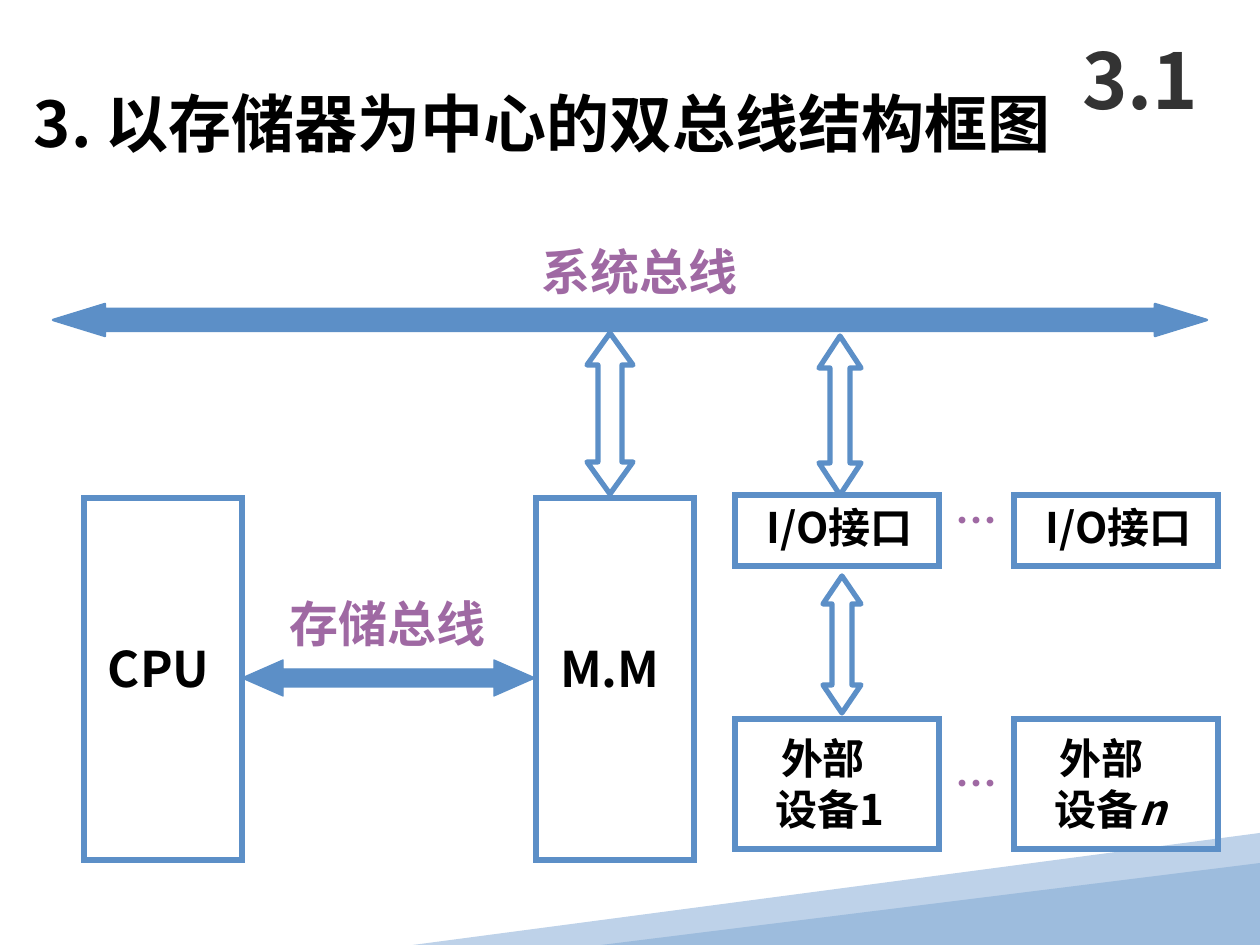
from dataclasses import dataclass

from lxml.etree import SubElement
from pptx import Presentation
from pptx.dml.color import RGBColor
from pptx.enum.shapes import MSO_SHAPE as Shape
from pptx.enum.text import MSO_ANCHOR as Anchor, MSO_AUTO_SIZE as AutoSize, PP_ALIGN as Align
from pptx.oxml.ns import qn
from pptx.util import Emu, Pt

PX = 914400 / 126
FONT = "Noto Sans CJK SC"
COLORS = {
    "blue": "5C8FC7", "purple": "9F69A3", "black": "000000",
    "gray": "333333", "pale": "BED2E9", "mid": "9DBCDD",
}


@dataclass
class Text:
    lines: list[str]
    size: int
    color: str = "black"
    margins: tuple[int, int, int, int] = (13, 6, 13, 6)  # left, top, right, bottom
    wrap: bool = True
    grow: bool = False
    align: Align = Align.LEFT
    anchor: Anchor = Anchor.TOP
    first_indent: int = 0
    italic_tail: str = ""


@dataclass
class Box:
    x: int
    y: int
    w: int
    h: int
    text: Text


@dataclass
class Arrow:
    """Double arrow from start to end along one axis, centred on mid."""
    start: int
    end: int
    mid: int
    half_head: int
    half_shaft: int
    head: int
    vertical: bool = True
    fill: str = ""
    line_pt: float = 3


def px(n: int) -> Emu:
    return Emu(round(n * PX))


def rgb(name: str) -> RGBColor:
    return RGBColor.from_string(COLORS[name])


def paint(sp, fill: str = "", line: str = "", line_pt: float = 3) -> None:
    sp.shadow.inherit = False
    if fill:
        sp.fill.solid()
        sp.fill.fore_color.rgb = rgb(fill)
    else:
        sp.fill.background()
    if line:
        sp.line.color.rgb = rgb(line)
        sp.line.width = Pt(line_pt)
    else:
        sp.line.fill.background()


def write(sp, t: Text) -> None:
    tf = sp.text_frame
    tf.text = "\n".join(t.lines)
    tf.word_wrap = t.wrap
    tf.auto_size = AutoSize.SHAPE_TO_FIT_TEXT if t.grow else AutoSize.NONE
    tf.vertical_anchor = t.anchor
    tf.margin_left, tf.margin_top, tf.margin_right, tf.margin_bottom = map(px, t.margins)
    if t.italic_tail:
        tf.paragraphs[-1].add_run().text = t.italic_tail
    if t.first_indent:
        tf.paragraphs[0]._p.get_or_add_pPr().set("indent", str(px(t.first_indent)))
    for p in tf.paragraphs:
        p.alignment = t.align
        for r in p.runs:
            f = r.font
            f.name, f.size, f.bold = FONT, Pt(t.size), True
            f.color.rgb = rgb(t.color)
            SubElement(r._r.get_or_add_rPr(), qn("a:ea"), typeface=FONT)
    if t.italic_tail:
        tf.paragraphs[-1].runs[-1].font.italic = True


def add_label(s, b: Box) -> None:
    write(s.shapes.add_textbox(px(b.x), px(b.y), px(b.w), px(b.h)), b.text)


def add_block(s, b: Box) -> None:
    sp = s.shapes.add_shape(Shape.RECTANGLE, px(b.x), px(b.y), px(b.w), px(b.h))
    paint(sp, line="blue")
    SubElement(sp.line._get_or_add_ln(), qn("a:miter"), lim="800000")
    write(sp, b.text)


def add_outline(s, points: list[tuple[int, int]]):
    pts = [(px(x), px(y)) for x, y in points]
    fb = s.shapes.build_freeform(*pts[0], scale=1.0)
    fb.add_line_segments(pts[1:], close=True)
    return fb.convert_to_shape()


def add_arrow(s, a: Arrow) -> None:
    near, far = a.start + a.head, a.end - a.head
    side = [(a.start, 0), (near, a.half_head), (near, a.half_shaft),
            (far, a.half_shaft), (far, a.half_head), (a.end, 0)]
    ring = side + [(along, -off) for along, off in side[-2:0:-1]]
    points = [(along, a.mid + off) for along, off in ring]
    if a.vertical:
        points = [(x, y) for y, x in points]
    paint(add_outline(s, points), a.fill, "blue", a.line_pt)


def device(number: str = "", italic: str = "") -> Text:
    return Text(["外部", "设备" + number], 24, margins=(41, 14, 13, 6),
                first_indent=5, italic_tail=italic)


FLUSH = (0, 0, 0, 0)
PORT = Text(["I/O接口"], 24, margins=(32, 6, 6, 6))
DOTS = Text(["…"], 24, "purple", FLUSH, wrap=False, grow=True)
COL_1, COL_N = 735, 1014

LABELS = [
    Box(21, 79, 1092, 88, Text(["3. 以存储器为中心的双总线结构框图"], 36, grow=True)),
    Box(542, 242, 319, 59, Text(["系统总线"], 28, "purple", FLUSH, grow=True)),
    Box(277, 588, 224, 72, Text(["存储总线"], 28, "purple", wrap=False, grow=True)),
    Box(955, 495, 42, 50, DOTS),
    Box(955, 758, 42, 50, DOTS),
    Box(1061, 21, 158, 116, Text(["3.1"], 44, "gray", align=Align.CENTER,
                                 anchor=Anchor.MIDDLE)),
]
BLOCKS = [
    *(Box(x, 498, 158, 362, Text([name], 28, margins=(24, 141, 13, 6)))
      for x, name in ((84, "CPU"), (536, "M.M"))),
    *(Box(x, 495, 204, 71, PORT) for x in (COL_1, COL_N)),
    Box(COL_1, 719, 204, 130, device("1")),
    Box(COL_N, 719, 204, 130, device(italic="n")),
]
ARROWS = [
    Arrow(53, 1207, 320, 16, 11, 52, vertical=False, fill="blue", line_pt=1.39),
    Arrow(333, 494, 610, 23, 12, 32),
    Arrow(336, 495, 840, 21, 10, 32),
    Arrow(576, 713, 842, 19, 10, 28),
]


def main() -> None:
    prs = Presentation()
    prs.slide_width, prs.slide_height = px(1260), px(945)
    s = prs.slides.add_slide(prs.slide_layouts[6])

    # Corner decoration
    paint(add_outline(s, [(1260, 833), (1260, 937), (848, 945), (413, 945)]), "pale")
    sp = s.shapes.add_shape(Shape.ISOSCELES_TRIANGLE, px(601), px(863), px(659), px(82))
    sp.adjustments[0] = 1
    paint(sp, "mid")

    # Units and buses
    for b in BLOCKS:
        add_block(s, b)
    for a in ARROWS:
        add_arrow(s, a)
    sp = s.shapes.add_shape(Shape.LEFT_RIGHT_ARROW, px(242), px(660), px(293), px(36))
    sp.adjustments[0], sp.adjustments[1] = 0.5, 1.14
    paint(sp, "blue", "blue", 0.75)

    # Title, bus names, dots and section number
    for b in LABELS:
        add_label(s, b)
    prs.save("out.pptx")


if __name__ == "__main__":
    main()
